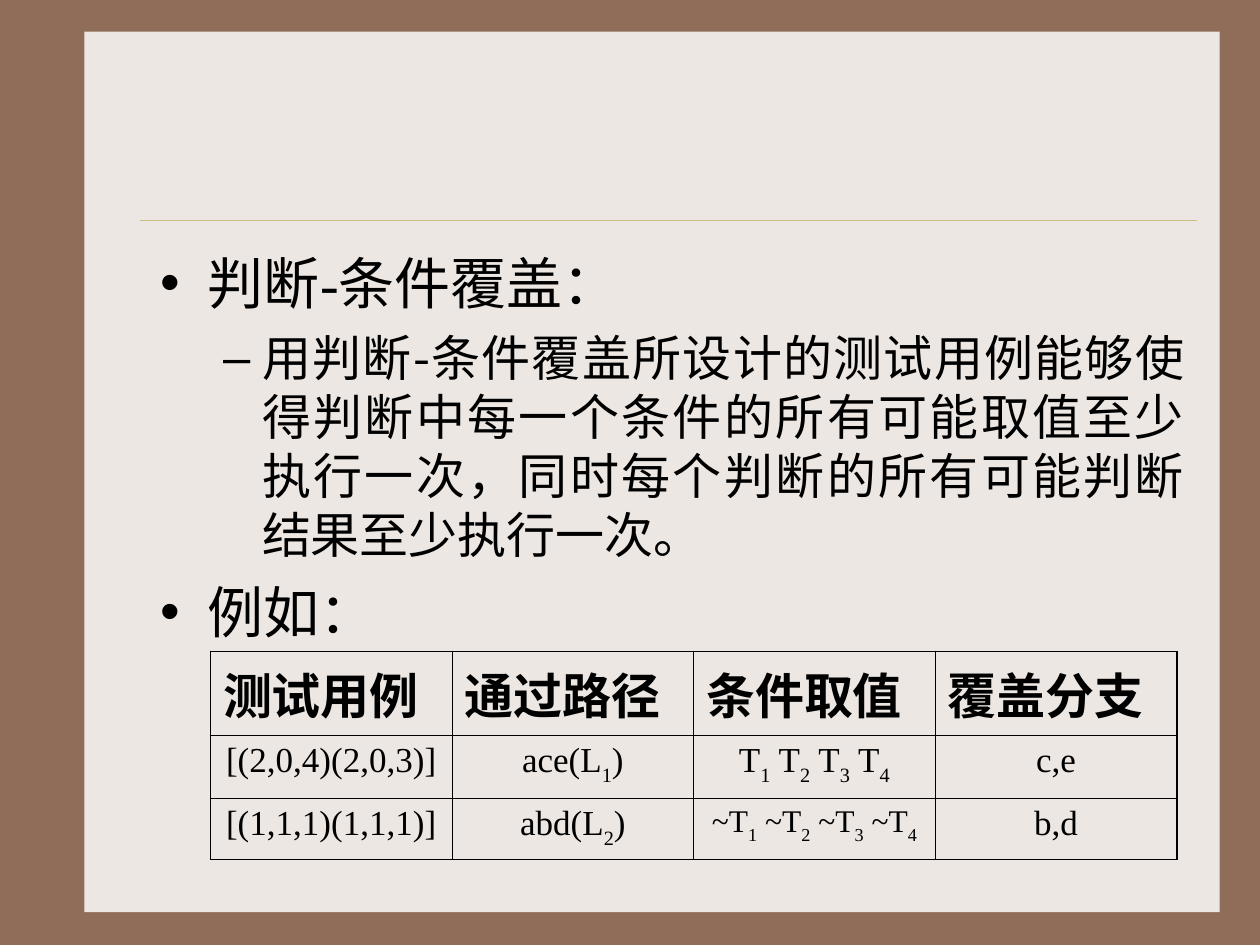
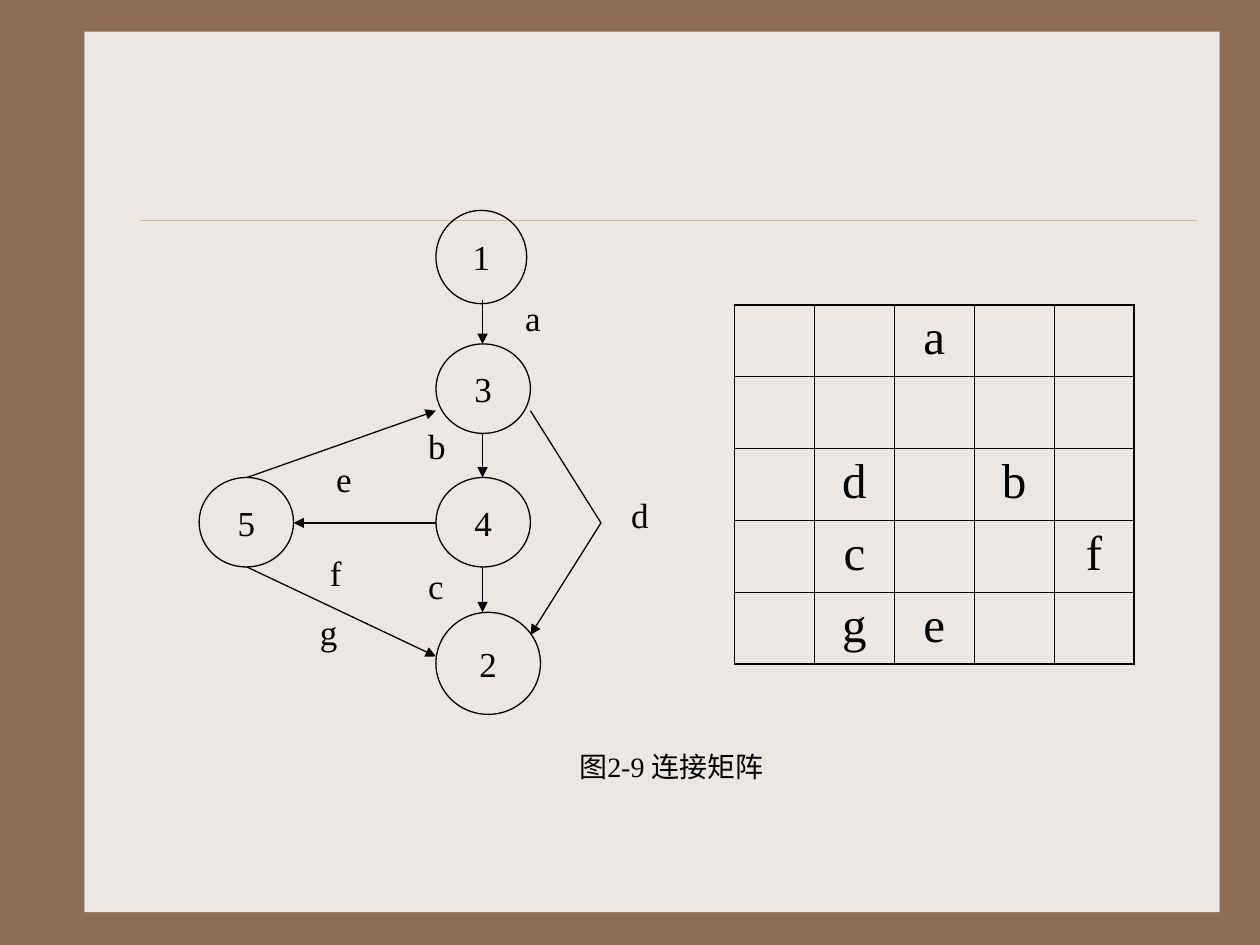
from lxml import etree
from pptx import Presentation
from pptx.dml.color import RGBColor
from pptx.enum.shapes import MSO_CONNECTOR, MSO_SHAPE
from pptx.enum.text import MSO_ANCHOR, MSO_AUTO_SIZE, PP_ALIGN
from pptx.oxml.ns import qn
from pptx.util import Inches, Pt

FRAME, PAPER, RULE, INK = "906D58", "EDE7E3", "CBBD83", "000000"
LATIN, CJK = "Times New Roman", "Noto Sans CJK SC"
THIN, THICK = 0.45, 1.08


def rgb(value):
    return RGBColor.from_string(value)


def box(*lengths):
    return [Inches(n) for n in lengths]


def sub(parent, tag, **attrs):
    return etree.SubElement(parent, qn(tag), attrs)


def style(p, size, align, font=LATIN, bold=False):
    p.alignment = align
    p.font.size = Pt(size)
    p.font.bold = bold
    p.font.color.rgb = rgb(INK)
    p.font.name = font
    sub(p.font._rPr, "a:ea", typeface=CJK)


def add_line(s, start, end, color=INK, width=0.75, arrow=False):
    line = s.shapes.add_connector(MSO_CONNECTOR.STRAIGHT, *box(*start, *end))
    line.line.color.rgb = rgb(color)
    line.line.width = Pt(width)
    if arrow:
        sub(line.line._get_or_add_ln(), "a:tailEnd", type="triangle")
    sub(line._element.spPr, "a:effectLst")
    return line


def add_backdrop(s):
    """Put the paper panel and its rule behind everything else."""
    panel = s.shapes.add_shape(MSO_SHAPE.RECTANGLE, *box(0.67, 0.25, 9.01, 6.99))
    panel.shadow.inherit = False
    panel.fill.solid()
    panel.fill.fore_color.rgb = rgb(PAPER)
    panel.line.fill.background()
    rule = add_line(s, (1.11, 1.75), (9.5, 1.75), RULE, 0.25)
    for position, shape in enumerate((panel, rule), start=2):
        s.shapes._spTree.insert(position, shape._element)


def add_label(s, text, bounds, size=20):
    tf = s.shapes.add_textbox(*box(*bounds)).text_frame
    tf.word_wrap = True
    tf.text = text
    style(tf.paragraphs[0], size, PP_ALIGN.JUSTIFY)


def add_node(s, text, bounds):
    node = s.shapes.add_shape(MSO_SHAPE.OVAL, *box(*bounds))
    node.shadow.inherit = False
    node.fill.background()
    node.line.color.rgb = rgb(INK)
    node.line.width = Pt(0.75)
    tf = node.text_frame
    tf.vertical_anchor = MSO_ANCHOR.MIDDLE
    tf.text = text
    style(tf.paragraphs[0], 20, PP_ALIGN.CENTER)


def fill_list(body, items):
    """Write (level, text) items as a bulleted, justified list."""
    levels = [("•", 0.38, 0.38, 32, 8, LATIN), ("–", 0.81, 0.31, 28, 7, CJK)]
    tf = body.text_frame
    tf.auto_size = MSO_AUTO_SIZE.NONE
    for i, (level, text) in enumerate(items):
        bullet, margin, hanging, size, before, font = levels[level]
        p = tf.paragraphs[0] if i == 0 else tf.add_paragraph()
        p.text = text
        p.level = level
        pPr = p._p.get_or_add_pPr()
        pPr.set("marL", str(Inches(margin)))
        pPr.set("indent", str(-Inches(hanging)))
        sub(sub(pPr, "a:buClr"), "a:srgbClr", val=INK)
        sub(pPr, "a:buChar", char=bullet)
        style(p, size, PP_ALIGN.JUSTIFY, font)
        p.space_before = Pt(before if i else 0)


def set_borders(cell, widths):
    tcPr = cell._tc.get_or_add_tcPr()
    for side, width in zip("LRTB", widths):
        ln = sub(tcPr, f"a:ln{side}", w=str(Pt(width)))
        sub(sub(ln, "a:solidFill"), "a:srgbClr", val=INK)


def add_grid(s, bounds, rows, heights):
    """Add an unfilled table with thick outer and thin inner borders."""
    count, width = len(rows), len(rows[0])
    table = s.shapes.add_table(count, width, *box(*bounds)).table
    table.first_row = table.horz_banding = False
    for i, height in enumerate(heights):
        table.rows[i].height = Inches(height)
        for j in range(width):
            cell = table.cell(i, j)
            edges = (j == 0, j == width - 1, i == 0, i == count - 1)
            set_borders(cell, [THICK if edge else THIN for edge in edges])
            cell.fill.background()
    return table


def write_cell(cell, text, size, align=PP_ALIGN.CENTER, font=LATIN, bold=False):
    """Write text in which the character after each _ is a subscript."""
    p = cell.text_frame.paragraphs[0]
    first, *rest = text.split("_")
    p.add_run().text = first
    for part in rest:
        r = p.add_run()
        r.text = part[0]
        r.font._rPr.set("baseline", "-30000")
        if part[1:]:
            p.add_run().text = part[1:]
    style(p, size, align, font, bold)


def build_coverage(prs):
    s = prs.slides.add_slide(prs.slide_layouts[1])
    title = s.shapes.title._element
    title.getparent().remove(title)
    add_backdrop(s)
    body = s.placeholders[1]
    body.left, body.top, body.width, body.height = box(1.17, 1.92, 8.33, 4.5)
    fill_list(body, [
        (0, "判断-条件覆盖："),
        (1, "用判断-条件覆盖所设计的测试用例能够使得判断中每一个条件的所有可能"
            "取值至少执行一次，同时每个判断的所有可能判断结果至少执行一次。"),
        (0, "例如："),
    ])
    cases = [
        ["测试用例", "通过路径", "条件取值", "覆盖分支"],
        ["[(2,0,4)(2,0,3)]", "ace(L_1)", "T_1 T_2 T_3 T_4", "c,e"],
        ["[(1,1,1)(1,1,1)]", "abd(L_2)", "~T_1 ~T_2 ~T_3 ~T_4", "b,d"],
    ]
    table = add_grid(s, (1.67, 5.17, 7.67, 1.65), cases, [0.66, 0.5, 0.49])
    for i, row in enumerate(cases):
        for j, text in enumerate(row):
            if i == 0:
                write_cell(table.cell(i, j), text, 28, PP_ALIGN.LEFT, CJK, True)
            else:
                write_cell(table.cell(i, j), text, 18 if "~" in text else 20)


def build_matrix(prs):
    s = prs.slides.add_slide(prs.slide_layouts[6])
    add_backdrop(s)
    nodes = {
        "1": (3.46, 1.67, 0.72, 0.74),
        "3": (3.46, 2.73, 0.75, 0.71),
        "4": (3.46, 3.79, 0.75, 0.71),
        "5": (1.58, 3.79, 0.75, 0.71),
        "2": (3.46, 4.86, 0.83, 0.81),
    }
    for name, bounds in nodes.items():
        add_node(s, name, bounds)

    arrows = [
        ((3.83, 2.38), (3.83, 2.73)),
        ((3.83, 3.44), (3.83, 3.79)),
        ((3.83, 4.5), (3.83, 4.86)),
        ((3.46, 4.15), (2.33, 4.15)),
        ((4.77, 4.15), (4.21, 5.04)),
        ((1.96, 4.5), (3.46, 5.21)),
        ((1.96, 3.79), (3.46, 3.26)),
    ]
    for start, end in arrows:
        add_line(s, start, end, arrow=True)
    add_line(s, (4.21, 3.26), (4.77, 4.15))

    edge_labels = {
        "a": (4.07, 2.3, 0.41, 0.51),
        "b": (3.3, 3.32, 0.41, 0.53),
        "c": (3.3, 4.43, 0.47, 0.49),
        "d": (4.91, 3.87, 0.45, 0.43),
        "e": (2.57, 3.58, 0.37, 0.53),
        "f": (2.52, 4.33, 0.48, 0.53),
        "g": (2.44, 4.8, 0.44, 0.5),
    }
    for name, bounds in edge_labels.items():
        add_label(s, name, bounds)
    add_label(s, "图2-9 连接矩阵", (4.5, 5.9, 1.76, 0.53), 16)

    matrix = ["  a  ", "     ", " d b ", " c  f", " ge  "]
    table = add_grid(s, (5.83, 2.42, 3.17, 2.85), matrix, [0.57] * 5)
    for i, row in enumerate(matrix):
        for j, edge in enumerate(row):
            if edge != " ":
                write_cell(table.cell(i, j), edge, 28)


def main():
    prs = Presentation()
    prs.slide_width, prs.slide_height = box(10, 7.5)
    background = prs.slide_master.background.fill
    background.solid()
    background.fore_color.rgb = rgb(FRAME)
    build_coverage(prs)
    build_matrix(prs)
    prs.save("out.pptx")


if __name__ == "__main__":
    main()
